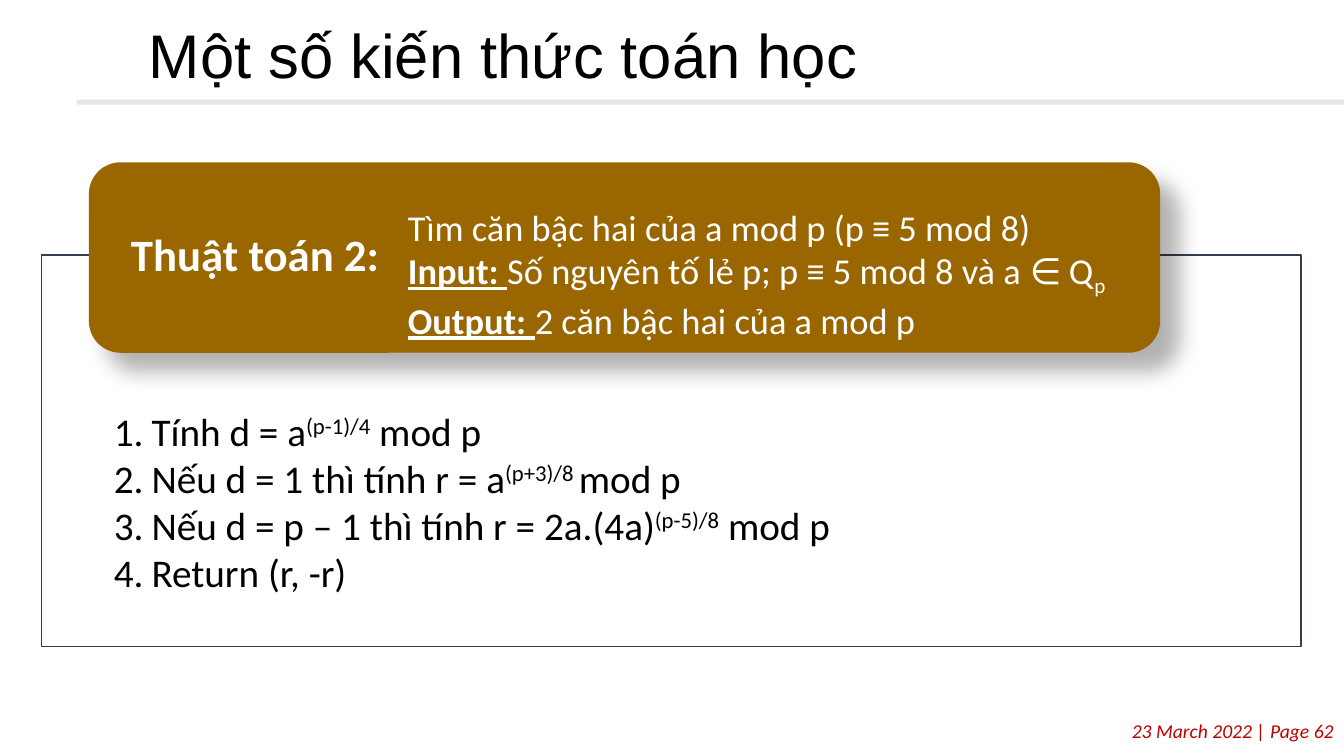
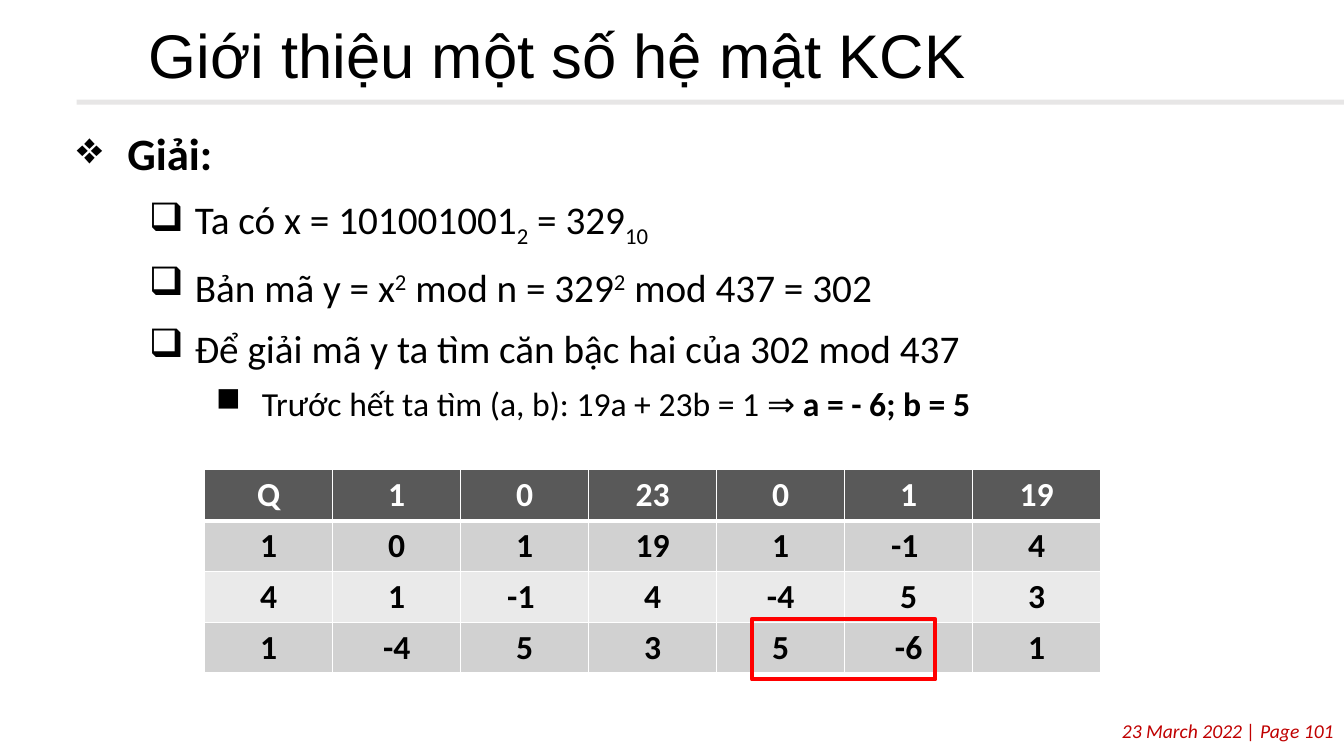
from dataclasses import dataclass

from lxml import etree
from pptx import Presentation
from pptx.dml.color import RGBColor
from pptx.enum.shapes import MSO_SHAPE
from pptx.enum.text import MSO_ANCHOR, PP_ALIGN
from pptx.oxml.ns import qn
from pptx.util import Cm, Pt

RECTANGLE = MSO_SHAPE.RECTANGLE
ROUNDED = MSO_SHAPE.ROUNDED_RECTANGLE
TOP, MIDDLE = MSO_ANCHOR.TOP, MSO_ANCHOR.MIDDLE
LEFT, CENTER, RIGHT = PP_ALIGN.LEFT, PP_ALIGN.CENTER, PP_ALIGN.RIGHT


@dataclass(frozen=True)
class Theme:
    heading_font: str = "Arial"
    body_font: str = "Calibri"
    text: str = "000000"
    white: str = "FFFFFF"
    footer: str = "C00000"
    rule: str = "E7E6E6"
    panel_line: str = "333F50"
    banner: str = "996600"
    header_row: str = "595959"
    odd_row: str = "D1D1D1"
    even_row: str = "EAEAEA"
    highlight: str = "FF0000"
    title_size: int = 44
    large_size: int = 32
    body_size: int = 28
    banner_size: int = 26
    small_size: int = 24
    footer_size: int = 14


theme = Theme()


def add_box(slide, place, kind=None, fill=None, line=None, line_width=1,
            anchor=TOP, side_inset=0.25, end_inset=0.13):
    """Add a shape of the given kind, or a text box when there is none."""
    place = [Cm(length) for length in place]
    if kind is None:
        shape = slide.shapes.add_textbox(*place)
    else:
        shape = slide.shapes.add_shape(kind, *place)
        shape.shadow.inherit = False
        if fill:
            shape.fill.solid()
            shape.fill.fore_color.rgb = RGBColor.from_string(fill)
        else:
            shape.fill.background()
        if line:
            shape.line.color.rgb = RGBColor.from_string(line)
            shape.line.width = Pt(line_width)
        else:
            shape.line.fill.background()
    frame = shape.text_frame
    frame.word_wrap = True
    frame.vertical_anchor = anchor
    frame.margin_left = frame.margin_right = Cm(side_inset)
    frame.margin_top = frame.margin_bottom = Cm(end_inset)
    return shape


def add_text(frame, text, size=theme.body_size, color=theme.text, font=theme.body_font,
             bold=False, italic=False, align=LEFT, spacing=1.0,
             bullet=None, numbered=False, margin=0, indent=0):
    """Add a paragraph; text is a string or a list of (text, style) runs."""
    paragraph = frame.paragraphs[0]
    if paragraph.runs:
        paragraph = frame.add_paragraph()
    properties = paragraph._p.get_or_add_pPr()
    if bullet or numbered:
        properties.set("marL", str(Cm(margin)))
        properties.set("indent", str(Cm(indent)))
    if bullet:
        etree.SubElement(properties, qn("a:buChar"), char=bullet)
    elif numbered:
        etree.SubElement(properties, qn("a:buAutoNum"), type="arabicPeriod")
    paragraph.alignment = align
    paragraph.line_spacing = spacing
    for content, style in [(text, "")] if isinstance(text, str) else text:
        run = paragraph.add_run()
        run.text = content
        run.font.name = font
        run.font.size = Pt(size)
        run.font.color.rgb = RGBColor.from_string(color)
        run.font.bold = bold or style in ("bold", "label")
        run.font.italic = italic
        run.font.underline = style == "label"
        if style in ("sub", "sup"):
            baseline = "-25000" if style == "sub" else "30000"
            run._r.get_or_add_rPr().set("baseline", baseline)


presentation = Presentation()
presentation.slide_width = Cm(33.87)
presentation.slide_height = Cm(19.05)

# Footer, rule and title on every slide
slides = []
for title, page in [("Một số kiến thức toán học", 62),
                    ("Giới thiệu một số hệ mật KCK", 101)]:
    slide = presentation.slides.add_slide(presentation.slide_layouts[6])
    footer = add_box(slide, (0.13, 17.98, 33.74, 0.86))
    add_text(footer.text_frame, f"23 March 2022 | Page {page}", size=theme.footer_size,
             color=theme.footer, italic=True, align=RIGHT)
    add_box(slide, (1.93, 2.51, 31.94, 0.13), RECTANGLE, fill=theme.rule)
    heading = add_box(slide, (3.07, 0.48, 30.6, 1.98), anchor=MIDDLE, side_inset=0.68)
    add_text(heading.text_frame, title, size=theme.title_size,
             font=theme.heading_font, spacing=0.9)
    slides.append(slide)
algorithm_slide, solution_slide = slides

# Algorithm: panel and banner
panel = add_box(algorithm_slide, (1.04, 6.43, 31.75, 9.86), RECTANGLE,
                fill=theme.white, line=theme.panel_line)
panel_color = panel._element.spPr.find(qn("a:solidFill"))[0]
etree.SubElement(panel_color, qn("a:alpha"), val="90000")

banner = add_box(algorithm_slide, (2.24, 4.09, 27, 4.8), ROUNDED, fill=theme.banner)
effects = banner._element.spPr.find(qn("a:effectLst"))
shadow = etree.SubElement(effects, qn("a:outerShdw"), blurRad=str(Pt(15)),
                          dist=str(Pt(18)), dir=str(45 * 60000),
                          algn="tl", rotWithShape="0")
shadow_color = etree.SubElement(shadow, qn("a:srgbClr"), val=theme.text)
etree.SubElement(shadow_color, qn("a:alpha"), val="30000")

label = add_box(algorithm_slide, (2.46, 4.32, 26.52, 4.32), anchor=MIDDLE,
                side_inset=0.84, end_inset=0)
add_text(label.text_frame, "Thuật toán 2:", size=theme.large_size,
         color=theme.white, bold=True, spacing=0.9)

problem = add_box(algorithm_slide, (10.03, 5.03, 19.1, 3.58))
for line in [
    "Tìm căn bậc hai của a mod p (p ≡ 5 mod 8)",
    [("Input: ", "label"), ("Số nguyên tố lẻ p; p ≡ 5 mod 8 và a ∈ Q", ""), ("p", "sub")],
    [("Output: ", "label"), ("2 căn bậc hai của a mod p", "")],
]:
    add_text(problem.text_frame, line, size=theme.banner_size, color=theme.white)

# Algorithm: numbered steps
steps = add_box(algorithm_slide, (2.62, 10.13, 22.78, 5.05))
for step in [
    [("Tính d = a", ""), ("(p-1)/4", "sup"), (" mod p", "")],
    [("Nếu d = 1 thì tính r = a", ""), ("(p+3)/8 ", "sup"), ("mod p", "")],
    [("Nếu d = p – 1 thì tính r = 2a.(4a)", ""), ("(p-5)/8", "sup"), (" mod p", "")],
    "Return (r, -r)",
]:
    add_text(steps.text_frame, step, numbered=True, margin=0.95, indent=-0.95)

# Solution: bulleted outline
levels = [
    dict(bullet="❖", margin=1.69, indent=-1.27, size=theme.large_size, bold=True),
    dict(bullet="❑", margin=3.39, indent=-1.16, size=theme.body_size),
    dict(bullet="■", margin=5.08, indent=-1.16, size=theme.small_size),
]
outline = add_box(solution_slide, (1.27, 2.51, 32.16, 15.8), end_inset=0.25)
for level, text in [
    (0, "Giải:"),
    (1, [("Ta có x = 101001001", ""), ("2", "sub"), (" = 329", ""), ("10", "sub")]),
    (1, [("Bản mã y = x", ""), ("2", "sup"), (" mod n = 329", ""), ("2", "sup"),
         (" mod 437 = 302", "")]),
    (1, "Để giải mã y ta tìm căn bậc hai của 302 mod 437"),
    (2, [("Trước hết ta tìm (a, b): 19a + 23b = 1 ⇒ ", ""), ("a = - 6; b = 5", "bold")]),
]:
    add_text(outline.text_frame, text, spacing=1.3, **levels[level])

# Solution: table of the extended Euclidean algorithm
rows = [
    ["Q", "1", "0", "23", "0", "1", "19"],
    ["1", "0", "1", "19", "1", "-1 ", "4"],
    ["4", "1", "-1 ", "4", "-4", "5", "3"],
    ["1", "-4", "5", "3", "5", "-6", "1"],
]
row_fills = [theme.header_row, theme.odd_row, theme.even_row, theme.odd_row]
table = solution_slide.shapes.add_table(
    len(rows), len(rows[0]), Cm(5.16), Cm(11.84), Cm(22.58), Cm(5.12)).table
table.horz_banding = False
for row_index, (values, row_fill) in enumerate(zip(rows, row_fills)):
    for column_index, value in enumerate(values):
        cell = table.cell(row_index, column_index)
        cell_properties = cell._tc.get_or_add_tcPr()
        for side in ("lnL", "lnR", "lnT", "lnB"):
            under_header = (row_index, side) in [(0, "lnB"), (1, "lnT")]
            border = etree.SubElement(cell_properties, qn(f"a:{side}"),
                                      w=str(Pt(3 if under_header else 1)))
            border_fill = etree.SubElement(border, qn("a:solidFill"))
            etree.SubElement(border_fill, qn("a:srgbClr"), val=theme.white)
        cell.fill.solid()
        cell.fill.fore_color.rgb = RGBColor.from_string(row_fill)
        add_text(cell.text_frame, value, size=theme.small_size, bold=True, align=CENTER,
                 color=theme.text if row_index else theme.white)

# Solution: frame around the result
add_box(solution_slide, (18.95, 15.6, 4.62, 1.52), RECTANGLE,
        line=theme.highlight, line_width=3)

presentation.save("out.pptx")
